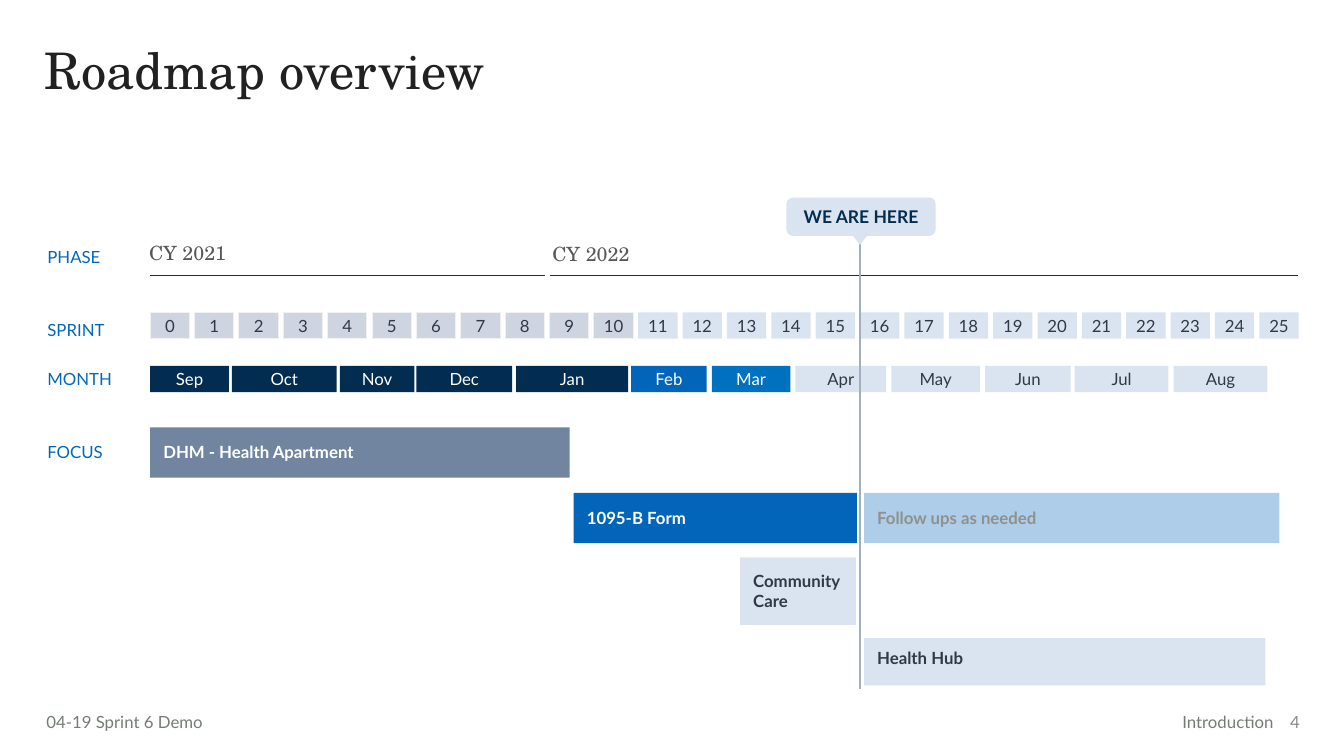
from lxml.etree import SubElement
from pptx import Presentation
from pptx.dml.color import RGBColor
from pptx.enum.shapes import MSO_CONNECTOR as Connector, MSO_SHAPE as Shape
from pptx.enum.text import MSO_ANCHOR as Anchor, MSO_AUTO_SIZE as AutoSize, PP_ALIGN as Align
from pptx.oxml.ns import qn
from pptx.util import Inches, Pt

COLORS = {
    "title": "202120", "year": "565956", "footer": "747C74", "number": "8A8A8A",
    "label": "0467B8", "dark": "303A46", "white": "FFFFFF", "light": "FDFFFD",
    "muted": "8E918E", "navy": "022D50", "blue": "0365B9", "bright": "0071BF",
    "pale": "DAE4F0", "gray": "CED5E0", "edge": "F0F1F0", "slate": "7185A0",
    "rule": "232B34", "marker": "A1AEBF",
}
SANS, SERIF = "Lato", "TeX Gyre Schola"
BOX_INSETS = (0.1, 0.05, 0.1, 0.05)
TILE_INSETS = (0.03,) * 4
BAR_INSETS = (0.13,) * 4
SPRINT_COUNT, LAST_GRAY_SPRINT = 26, 10
TIMELINE_LEFT, SPRINT_STEP = 1.49, 0.44
TILE_HEIGHT = 0.26
MARKER_X = 8.53

LABELS = [("PHASE", 2.45), ("SPRINT", 3.17), ("MONTH", 3.66), ("FOCUS", 4.38)]
YEARS = [("CY 2021", 1.38, 2.34, 1.49, 5.41), ("CY 2022", 5.38, 2.35, 5.46, 12.87)]
MONTHS = [
    ("Sep", 1.49, 0.78, "navy", "light"), ("Oct", 2.3, 1.04, "navy", "light"),
    ("Nov", 3.37, 0.74, "navy", "light"), ("Dec", 4.13, 0.95, "navy", "light"),
    ("Jan", 5.12, 1.11, "navy", "light"), ("Feb", 6.26, 0.75, "blue", "light"),
    ("Mar", 7.06, 0.78, "bright", "light"), ("Apr", 7.89, 0.9, "pale", "dark"),
    ("May", 8.84, 0.88, "pale", "dark"), ("Jun", 9.77, 0.85, "pale", "dark"),
    ("Jul", 10.66, 0.93, "pale", "dark"), ("Aug", 11.64, 0.93, "pale", "dark"),
]
FOCUS_BARS = [
    ("DHM - Health Apartment", (1.49, 4.24, 4.16, 0.5), "slate", "white", 1.15, None),
    ("1095-B Form", (5.69, 4.89, 2.81, 0.5), "blue", "light", 1.15, None),
    ("Follow ups as needed", (8.57, 4.89, 4.12, 0.5), "blue", "muted", 1.15, 32),
    ("Community Care", (7.34, 5.53, 1.15, 0.67), "pale", "dark", None, None),
    ("Health Hub", (8.57, 6.33, 3.98, 0.47), "pale", "dark", None, None),
]


def rgb(name):
    """Return the named colour."""
    return RGBColor.from_string(COLORS[name])


def write_text(shape, text, color, size=12, font=SANS, bold=False, align=Align.LEFT,
               anchor=Anchor.TOP, insets=BOX_INSETS, spacing=None, grow=True):
    """Put one formatted paragraph in a shape."""
    frame = shape.text_frame
    frame.word_wrap = True
    frame.auto_size = AutoSize.SHAPE_TO_FIT_TEXT if grow else AutoSize.NONE
    frame.vertical_anchor = anchor
    (frame.margin_left, frame.margin_top,
     frame.margin_right, frame.margin_bottom) = map(Inches, insets)
    paragraph = frame.paragraphs[0]
    paragraph.alignment = align
    if spacing:
        paragraph.line_spacing = spacing
    run = paragraph.add_run()
    run.text = text
    run.font.name, run.font.size, run.font.bold = font, Pt(size), bold
    run.font.color.rgb = rgb(color)


def add_label(slide, text, box, color, **text_format):
    """Add a text box."""
    write_text(slide.shapes.add_textbox(*map(Inches, box)), text, color, **text_format)


def add_block(shapes, box, fill, kind=Shape.RECTANGLE, edge=None, opacity=None):
    """Add a filled shape, optionally outlined or translucent."""
    shape = shapes.add_shape(kind, *map(Inches, box))
    shape.shadow.inherit = False
    shape.fill.solid()
    shape.fill.fore_color.rgb = rgb(fill)
    if opacity:
        color = shape.fill._xPr.find(qn("a:solidFill"))[0]
        SubElement(color, qn("a:alpha")).set("val", str(opacity * 1000))
    if edge:
        shape.line.color.rgb = rgb(edge)
        shape.line.width = Pt(0.75)
    else:
        shape.line.fill.background()
    return shape


def add_line(shapes, start, end, color, width):
    """Add a straight line without a shadow."""
    line = shapes.add_connector(Connector.STRAIGHT, *map(Inches, start + end))
    line.line.color.rgb = rgb(color)
    line.line.width = Pt(width)
    SubElement(line._element.spPr, qn("a:effectLst"))


def add_tile(slide, text, box, fill, color, edge=None):
    """Add a small centred timeline tile."""
    tile = add_block(slide.shapes, box, fill, edge=edge)
    write_text(tile, text, color, align=Align.CENTER, insets=TILE_INSETS)


def add_title(slide, text):
    """Place and format the title placeholder."""
    title = slide.shapes.title
    title.left, title.top, title.width, title.height = map(Inches, (0.34, 0.41, 12.42, 0.82))
    write_text(title, text, "title", size=36, font=SERIF, spacing=0.9, grow=False)


def add_footer(slide):
    """Add the footer texts and the slide number."""
    add_label(slide, "04-19 Sprint 6 Demo", (0.46, 7.01, 2.98, 0.3), "footer",
              insets=(0, 0.05, 0.1, 0.05))
    add_label(slide, "Introduction", (9.75, 7.01, 2.98, 0.3), "footer", align=Align.RIGHT)
    add_label(slide, "4", (12.55, 6.96, 0.44, 0.4), "number", align=Align.RIGHT,
              anchor=Anchor.MIDDLE, grow=False)


def add_timeline(slide):
    """Add the row labels, years, sprints and months."""
    for text, top in LABELS:
        add_label(slide, text, (0.47, top, 0.78, 0.2), "label", insets=(0,) * 4)
    for text, left, top, start, end in YEARS:
        add_label(slide, text, (left, top, 3, 0.34), "year", size=14, font=SERIF)
        add_line(slide.shapes, (start, 2.73), (end, 2.73), "rule", 0.75)
    for sprint in range(SPRINT_COUNT):
        fill, edge = ("gray", "edge") if sprint <= LAST_GRAY_SPRINT else ("pale", None)
        left = TIMELINE_LEFT + sprint * SPRINT_STEP
        add_tile(slide, str(sprint), (left, 3.1, 0.39, TILE_HEIGHT), fill, "dark", edge)
    for month, left, width, fill, color in MONTHS:
        add_tile(slide, month, (left, 3.63, width, TILE_HEIGHT), fill, color)


def add_focus_bars(slide):
    """Add the bars of the focus areas."""
    for text, box, fill, color, spacing, opacity in FOCUS_BARS:
        bar = add_block(slide.shapes, box, fill, opacity=opacity)
        write_text(bar, text, color, bold=True, insets=BAR_INSETS, spacing=spacing)


def add_marker(slide):
    """Add the grouped marker of the current date."""
    shapes = slide.shapes.add_group_shape().shapes
    add_line(shapes, (MARKER_X, 2.16), (MARKER_X, 6.84), "marker", 1)
    callout = add_block(shapes, (7.8, 1.96, 1.48, 0.38), "pale", Shape.ROUNDED_RECTANGLE)
    write_text(callout, "WE ARE HERE", "navy", size=12.5, bold=True, align=Align.CENTER,
               anchor=Anchor.MIDDLE, grow=False)
    pointer = add_block(shapes, (MARKER_X - 0.07, 2.34, 0.14, 0.09), "pale",
                        Shape.ISOSCELES_TRIANGLE)
    pointer.rotation = 180


def main():
    """Build the roadmap slide and save it."""
    presentation = Presentation()
    presentation.slide_width, presentation.slide_height = Inches(13.33), Inches(7.5)
    slide = presentation.slides.add_slide(presentation.slide_layouts[5])
    add_title(slide, "Roadmap overview")
    add_footer(slide)
    add_timeline(slide)
    add_focus_bars(slide)
    add_marker(slide)
    presentation.save("out.pptx")


if __name__ == "__main__":
    main()
